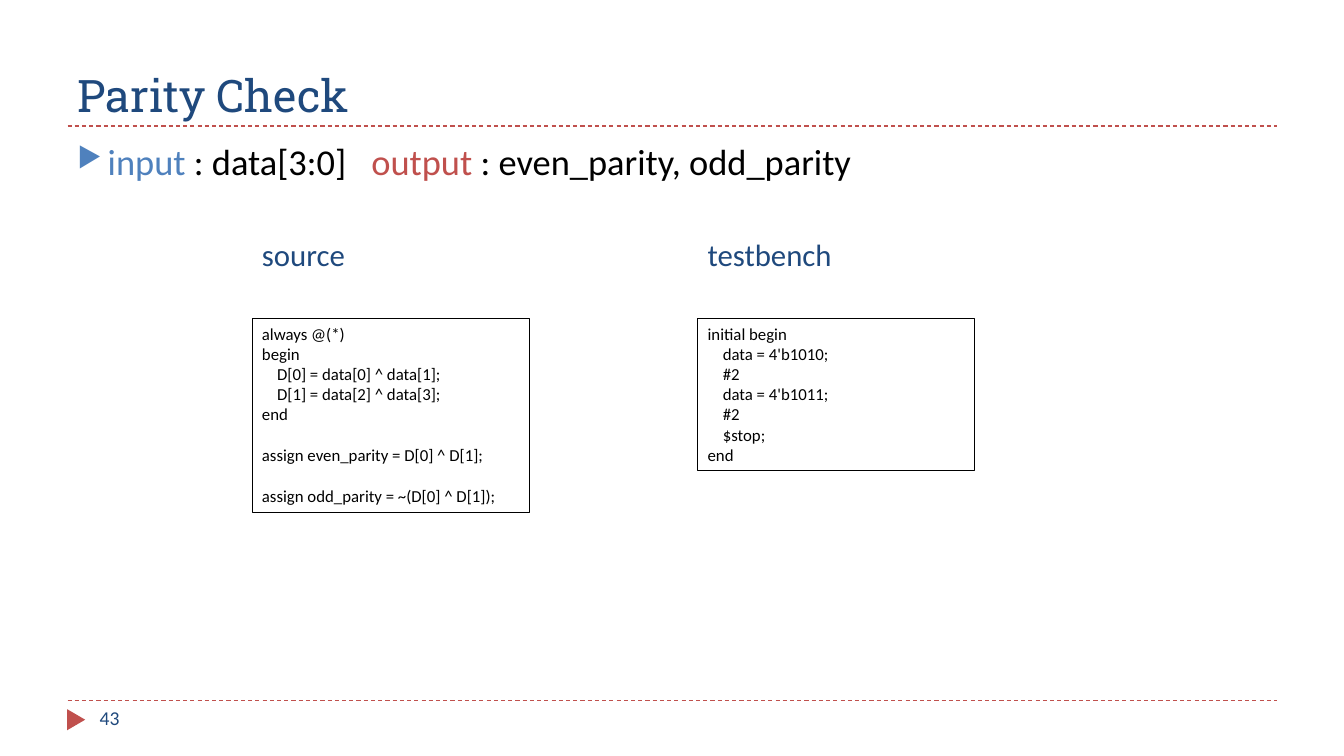
from lxml import etree
from pptx import Presentation
from pptx.dml.color import RGBColor
from pptx.enum.dml import MSO_LINE
from pptx.enum.shapes import MSO_CONNECTOR, MSO_SHAPE
from pptx.enum.text import MSO_ANCHOR as Anchor, PP_ALIGN as Align
from pptx.oxml.ns import qn
from pptx.util import Inches, Pt

NAVY, BLUE, RED, BLACK = "1F497D", "4F81BD", "C0504D", "000000"

# Each code line: text, whether it is indented, whether a gap precedes it
SOURCE_CODE = [
    ("always @(*)", False, False),
    ("begin", False, False),
    ("D[0] = data[0] ^ data[1];", True, False),
    ("D[1] = data[2] ^ data[3];", True, False),
    ("end", False, False),
    ("assign even_parity = D[0] ^ D[1];", False, True),
    ("assign odd_parity = ~(D[0] ^ D[1]);", False, True),
]
TESTBENCH_CODE = [
    ("initial begin", False, False),
    ("data = 4'b1010;", True, False),
    ("#2", True, False),
    ("data = 4'b1011;", True, False),
    ("#2", True, False),
    ("$stop;", True, False),
    ("end", False, False),
]


def rgb(color):
    return RGBColor.from_string(color)


def add_run(paragraph, text, size, color, font="Calibri"):
    run = paragraph.add_run()
    run.text = text
    for name, value in {"size": Pt(size), "name": font}.items():
        setattr(run.font, name, value)
    run.font.color.rgb = rgb(color)
    return run


def add_text_box(slide, left, top, width, height, anchor=Anchor.TOP):
    frame = slide.shapes.add_textbox(
        Inches(left), Inches(top), Inches(width), Inches(height)).text_frame
    for name, value in {"word_wrap": True, "vertical_anchor": anchor}.items():
        setattr(frame, name, value)
    return frame.paragraphs[0]


def add_rule(slide, y):
    rule = slide.shapes.add_connector(
        MSO_CONNECTOR.STRAIGHT, Inches(0.67), Inches(y), Inches(12.67), Inches(y))
    rule.line.color.rgb = rgb(RED)
    for name, value in {"width": Pt(0.75), "dash_style": MSO_LINE.DASH}.items():
        setattr(rule.line, name, value)
    etree.SubElement(rule._element.spPr, qn("a:effectLst"))


def add_bullet(paragraph, char, color, percent):
    props = paragraph._p.get_or_add_pPr()
    props.set("marL", str(Inches(0.3)))
    props.set("indent", str(Inches(-0.3)))
    bullet_color = etree.SubElement(props, qn("a:buClr"))
    etree.SubElement(bullet_color, qn("a:srgbClr"), val=color)
    etree.SubElement(props, qn("a:buSzPct"), val=str(percent * 1000))
    etree.SubElement(props, qn("a:buChar"), char=char)


def add_marker(slide):
    marker = slide.shapes.add_shape(
        MSO_SHAPE.ISOSCELES_TRIANGLE,
        Inches(0.65), Inches(7.05), Inches(0.21), Inches(0.18))
    marker.rotation = 90
    marker.shadow.inherit = False
    marker.fill.solid()
    marker.fill.fore_color.rgb = rgb(RED)
    marker.line.fill.background()


def add_code_panel(slide, heading, code, left, height):
    add_run(add_text_box(slide, left, 2.29, 2.25, 0.47), heading, 22, NAVY)

    panel = slide.shapes.add_shape(
        MSO_SHAPE.RECTANGLE,
        Inches(left), Inches(3.16), Inches(2.75), Inches(height))
    panel.shadow.inherit = False
    panel.fill.background()
    panel.line.color.rgb = rgb(BLACK)
    panel.line.width = Pt(0.75)

    frame = panel.text_frame
    for name, value in {"word_wrap": True, "vertical_anchor": Anchor.TOP}.items():
        setattr(frame, name, value)
    for index, (text, indented, gap) in enumerate(code):
        line = frame.add_paragraph() if index else frame.paragraphs[0]
        line.alignment = Align.LEFT
        if indented:
            line._p.get_or_add_pPr().set("marL", str(Inches(0.15)))
        if gap:
            line.space_before = Pt(14.6)
        add_run(line, text, 12, BLACK)


def add_ports(slide):
    ports = add_text_box(slide, 0.67, 1.33, 12, 5.4)
    ports.space_before = Pt(6)
    add_bullet(ports, "▶", BLUE, 76)
    add_run(ports, "input", 26, BLUE)
    add_run(ports, " : data[3:0]", 26, BLACK)
    # One widened space separates the two port lists
    gap = add_run(ports, " ", 26, BLACK)
    gap._r.get_or_add_rPr().set("spc", "1180")
    add_run(ports, "output", 26, RED)
    add_run(ports, " : even_parity, odd_parity", 26, BLACK)


def main():
    prs = Presentation()
    prs.slide_width, prs.slide_height = Inches(13.33), Inches(7.5)
    slide = prs.slides.add_slide(prs.slide_layouts[6])

    # Frame of the page
    for y in (6.95, 1.25):
        add_rule(slide, y)
    add_marker(slide)

    # Title, ports and page number
    title = add_text_box(slide, 0.67, 0.17, 12, 1.08, Anchor.BOTTOM)
    add_run(title, "Parity Check", 32, NAVY, "Roboto Slab")
    add_ports(slide)
    add_run(add_text_box(slide, 0.89, 6.95, 2.89, 0.4), "43", 14, NAVY)

    # Code listings
    add_code_panel(slide, "source", SOURCE_CODE, 2.5, 1.92)
    add_code_panel(slide, "testbench", TESTBENCH_CODE, 6.92, 1.51)

    prs.save("out.pptx")


if __name__ == "__main__":
    main()
